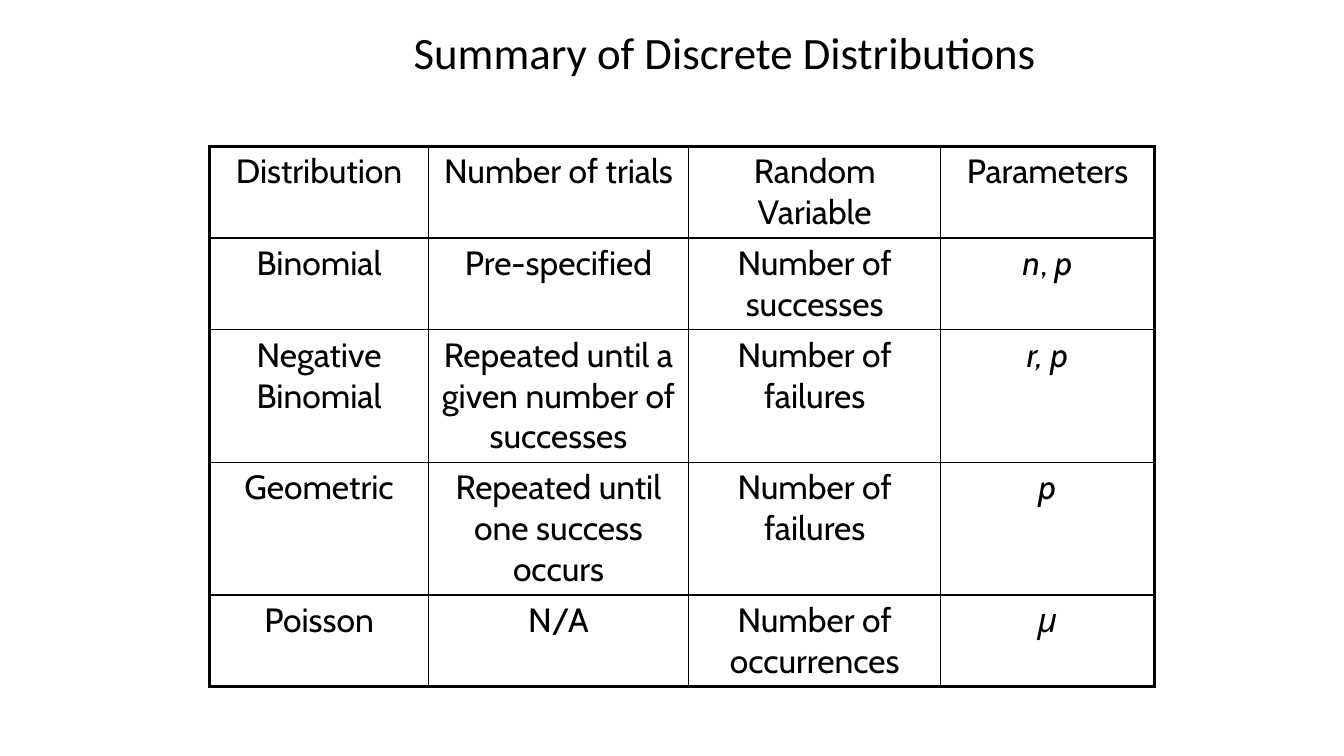
from lxml import etree
from pptx import Presentation
from pptx.dml.color import RGBColor
from pptx.enum import text as t
from pptx.oxml import ns
from pptx.util import Inches, Pt

BLACK = RGBColor(0x00, 0x00, 0x00)
THIN, THICK = Pt(1), Pt(2.25)
HEAD = {"name": "Calibri", "size": Pt(32), "bold": False}
BODY = {"name": "Cabin", "size": Pt(24), "bold": False}

WIDTHS = [2.17, 2.58, 2.5, 2.12]
HEIGHTS = [0.9, 0.9, 1.3, 1.3, 0.9]

# Each cell is a list of (text, italic) runs
ROWS = [
    [[(head, False)] for head in
     ("Distribution", "Number of trials", "Random Variable", "Parameters")],
    [[("Binomial", False)], [("Pre-specified", False)],
     [("Number of successes", False)],
     [("n", True), (", ", False), ("p", True)]],
    [[("Negative Binomial", False)],
     [("Repeated until a given number of successes", False)],
     [("Number of failures", False)], [("r, p", True)]],
    [[("Geometric", False)], [("Repeated until one success occurs", False)],
     [("Number of failures", False)], [("p", True)]],
    [[("Poisson", False)], [("N/A", False)],
     [("Number of occurrences", False)], [("μ", True)]],
]


def style(font, look):
    for key, value in look.items():
        setattr(font, key, value)
    font.color.rgb = BLACK


def border(cell, sides):
    props = cell._tc.get_or_add_tcPr()
    for side, width in sides.items():
        line = etree.SubElement(props, ns.qn("a:ln" + side), w=str(width))
        fill = etree.SubElement(line, ns.qn("a:solidFill"))
        etree.SubElement(fill, ns.qn("a:srgbClr"), val=str(BLACK))


def add_title(slide, left, top, width, height):
    title = slide.shapes.title
    title.left, title.top = Inches(left), Inches(top)
    title.width, title.height = Inches(width), Inches(height)
    frame = title.text_frame
    frame.text = "Summary of Discrete Distributions"
    frame.vertical_anchor = t.MSO_ANCHOR.MIDDLE
    para = frame.paragraphs[0]
    para.alignment = t.PP_ALIGN.CENTER
    para.line_spacing = 0.9
    style(para.runs[0].font, HEAD)


def fill_cell(cell, runs):
    para = cell.text_frame.paragraphs[0]
    para.alignment = t.PP_ALIGN.CENTER
    for words, slant in runs:
        run = para.add_run()
        run.text = words
        style(run.font, BODY | {"italic": slant})


def add_grid(slide, left, top):
    last_row, last_col = len(ROWS) - 1, len(WIDTHS) - 1
    table = slide.shapes.add_table(
        len(ROWS), len(WIDTHS), Inches(left), Inches(top),
        Inches(sum(WIDTHS)), Inches(sum(HEIGHTS))).table
    table.first_row = table.horz_banding = False
    for col, width in zip(table.columns, WIDTHS):
        col.width = Inches(width)
    for row, height in zip(table.rows, HEIGHTS):
        row.height = Inches(height)

    # Thick frame outside, thin rules inside
    for r, row in enumerate(ROWS):
        for c, runs in enumerate(row):
            cell = table.cell(r, c)
            fill_cell(cell, runs)
            edges = {"L": c == 0, "R": c == last_col,
                     "T": r == 0, "B": r == last_row}
            border(cell, {side: THICK if outer else THIN
                          for side, outer in edges.items()})
            cell.fill.background()


def main():
    deck = Presentation()
    deck.slide_width, deck.slide_height = Inches(13.33), Inches(7.5)
    slide = deck.slides.add_slide(deck.slide_layouts[5])
    add_title(slide, 2.93, -0.08, 8.52, 1.25)
    add_grid(slide, 2.08, 1.45)
    deck.save("out.pptx")


if __name__ == "__main__":
    main()
